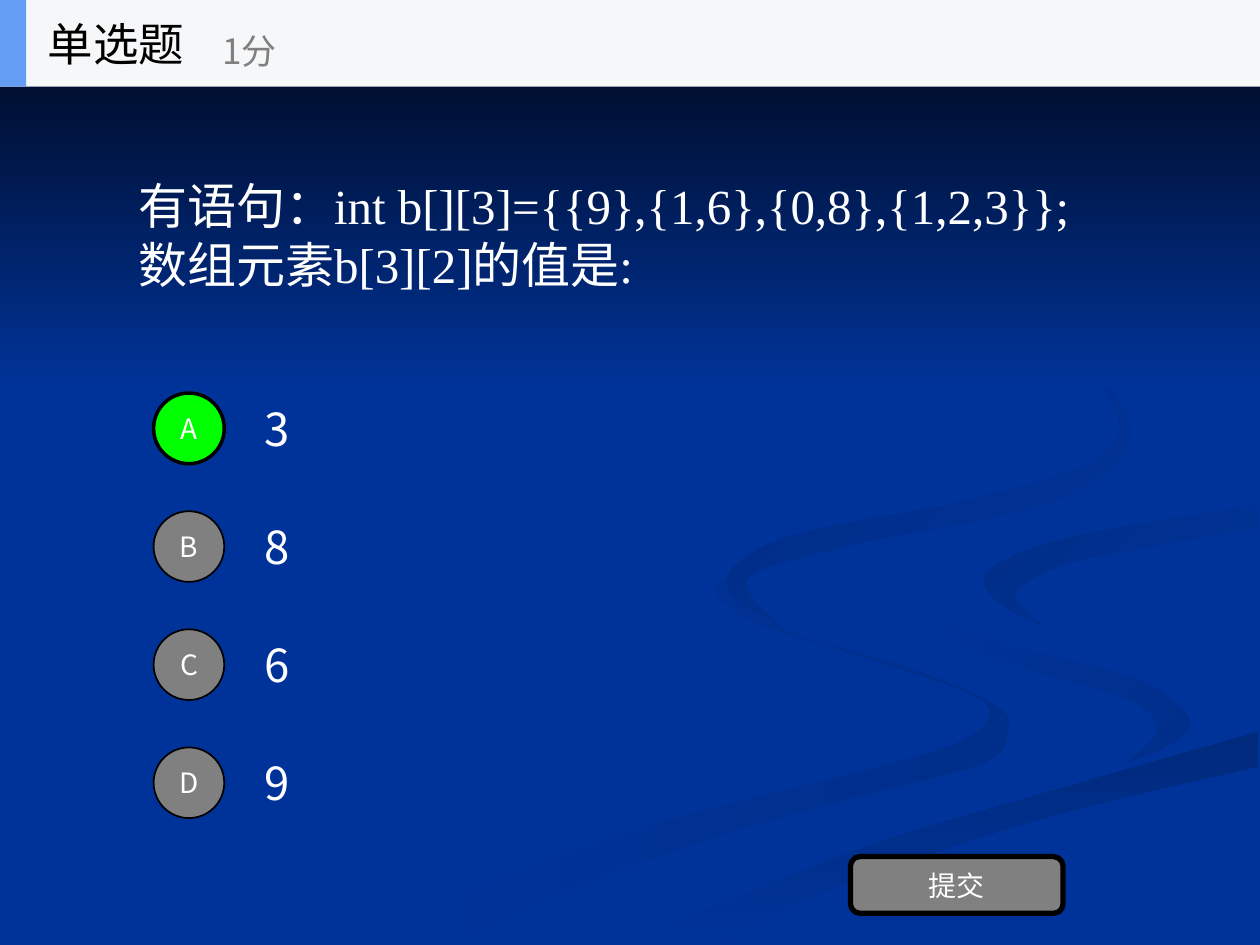
from lxml import etree
from pptx import Presentation
from pptx.dml.color import RGBColor
from pptx.enum.shapes import MSO_SHAPE
from pptx.enum.text import MSO_ANCHOR, PP_ALIGN
from pptx.oxml.ns import qn
from pptx.util import Pt

RECT, OVAL, ROUNDED = MSO_SHAPE.RECTANGLE, MSO_SHAPE.OVAL, MSO_SHAPE.ROUNDED_RECTANGLE
LEFT, CENTER = PP_ALIGN.LEFT, PP_ALIGN.CENTER
MIDDLE = MSO_ANCHOR.MIDDLE

SANS, SERIF = "Noto Sans CJK SC", "Times New Roman"
COLORS = {
    "blue": "003399", "night": "000514", "white": "FFFFFF", "black": "000000",
    "gray": "808080", "green": "00FF00", "header": "F6F7F8", "accent": "639EF4",
    "shade1": "002E8B", "shade2": "002A7D", "shade3": "002D86", "shade4": "002B82",
}

KIND, SCORE, SUBMIT = "单选题", "1分", "提交"
QUESTION = "有语句：int b[][3]={{9},{1,6},{0,8},{1,2,3}}; 数组元素b[3][2]的值是:"
OPTIONS = [("A", "3"), ("B", "8"), ("C", "6"), ("D", "9")]
CORRECT = "A"

WIDTH, HEIGHT = 720, 540
HEADER_H, SHADE_H = 49.5, 222
OPTION_TOP, OPTION_PITCH, OPTION_H = 219.6, 67.5, 50.4
BADGE = 40.4
CURVE_STEPS = 6

# Background ribbons: start colour, end colour, clockwise angle, and the two
# edges, there and back, each a smooth curve through its points
RIBBONS = [
    ("blue", "shade1", 0,
     [(414, 330), (428, 349), (462, 365), (526, 384), (570, 404), (576, 418),
      (562, 436), (487, 456), (406, 479), (310, 514), (260, 539)],
     [(216, 539), (300, 497), (388, 467), (492, 441), (546, 425), (566, 408),
      (549, 394), (489, 374), (433, 356), (410, 340), (414, 330)]),
    ("blue", "shade1", 45,
     [(521, 334), (546, 359), (598, 374), (652, 389), (679, 410), (671, 424), (644, 436)],
     [(644, 436), (661, 418), (648, 401), (587, 382), (544, 364), (521, 334)]),
    ("shade2", "blue", 90,
     [(362, 539), (410, 518), (501, 482), (598, 453), (719, 418)],
     [(719, 438), (591, 469), (467, 511), (411, 539)]),
    ("shade3", "blue", 45,
     [(719, 289), (612, 307), (565, 326), (570, 344), (595, 357)],
     [(595, 357), (580, 340), (607, 323), (674, 309), (719, 302)]),
    ("shade4", "blue", 45,
     [(549, 168), (607, 198), (641, 233), (640, 261), (594, 289), (492, 310),
      (436, 325), (427, 338), (448, 360)],
     [(448, 360), (415, 333), (450, 307), (549, 287), (620, 266), (640, 241),
      (609, 201), (549, 168)]),
]


def rgb(name):
    return RGBColor.from_string(COLORS[name])


def smooth(points):
    """Catmull-Rom curve through the points, as a list of short steps."""
    ends = [points[0], *points, points[-1]]
    curve = []
    for quad in zip(ends, ends[1:], ends[2:], ends[3:]):
        for step in range(CURVE_STEPS):
            t = step / CURVE_STEPS
            curve.append(tuple(
                b + t * (c - a + t * (2 * a - 5 * b + 4 * c - d
                                      + t * (3 * b - a - 3 * c + d))) / 2
                for a, b, c, d in zip(*quad)))
    return curve + [points[-1]]


def fill_gradient(sp, first, last, angle):
    sp.fill.gradient()
    sp.fill.gradient_angle = (360 - angle) % 360
    for stop, color in zip(sp.fill.gradient_stops, (first, last)):
        stop.color.rgb = rgb(color)


def add_ribbon(shapes, first, last, angle, there, back):
    outline = [(Pt(x), Pt(y)) for x, y in smooth(there) + smooth(back)]
    builder = shapes.build_freeform(*outline[0])
    builder.add_line_segments(outline[1:], close=True)
    sp = builder.convert_to_shape()
    sp.shadow.inherit = False
    sp.line.fill.background()
    fill_gradient(sp, first, last, angle)


def write(sp, text, size, color="white", font=SANS, align=LEFT):
    tf = sp.text_frame
    tf.word_wrap = True
    tf.vertical_anchor = MIDDLE
    tf.text = text
    p = tf.paragraphs[0]
    p.alignment = align
    r = p.runs[0]
    r.font.size = Pt(size)
    r.font.name = font
    r.font.color.rgb = rgb(color)
    etree.SubElement(r.font._element, qn("a:ea"), typeface=SANS)


def add_text(shapes, box, text, size, **style):
    write(shapes.add_textbox(*map(Pt, box)), text, size, **style)


def add_box(shapes, kind, box, fill, line=0):
    sp = shapes.add_shape(kind, *map(Pt, box))
    sp.shadow.inherit = False
    sp.fill.solid()
    sp.fill.fore_color.rgb = rgb(fill)
    if line:
        sp.line.color.rgb = rgb("black")
        sp.line.width = Pt(line)
    else:
        sp.line.fill.background()
    return sp


def main():
    prs = Presentation()
    prs.slide_width, prs.slide_height = Pt(WIDTH), Pt(HEIGHT)
    s = prs.slides.add_slide(prs.slide_layouts[6])
    s.background.fill.solid()
    s.background.fill.fore_color.rgb = rgb("blue")
    shapes = s.shapes

    for ribbon in RIBBONS:
        add_ribbon(shapes, *ribbon)
    shade = add_box(shapes, RECT, (0, 0, WIDTH, SHADE_H), "night")
    fill_gradient(shade, "night", "blue", 90)

    add_text(shapes, (72, HEADER_H, 576, 168.75), QUESTION, 28, font=SERIF)
    for i, (letter, answer) in enumerate(OPTIONS):
        top = OPTION_TOP + i * OPTION_PITCH
        add_text(shapes, (144, top, 504, OPTION_H), answer, 26)
        fill, line = ("green", 2) if letter == CORRECT else ("gray", 1)
        badge_top = top + (OPTION_H - BADGE) / 2
        badge = add_box(shapes, OVAL, (87.75, badge_top, BADGE, BADGE), fill, line)
        write(badge, letter, 16, align=CENTER)

    button = add_box(shapes, ROUNDED, (486, 489.5, 121.5, 32.4), "gray", 3)
    write(button, SUBMIT, 16, align=CENTER)

    add_box(shapes, RECT, (0, 0, WIDTH, HEADER_H), "header")
    add_box(shapes, RECT, (0, 0, 15, HEADER_H), "accent")
    add_text(shapes, (20.25, 0, 150, HEADER_H), KIND, 26, color="black")
    add_text(shapes, (120, 8.75, 180, 40.5), SCORE, 20, color="gray")

    prs.save("out.pptx")


if __name__ == "__main__":
    main()
